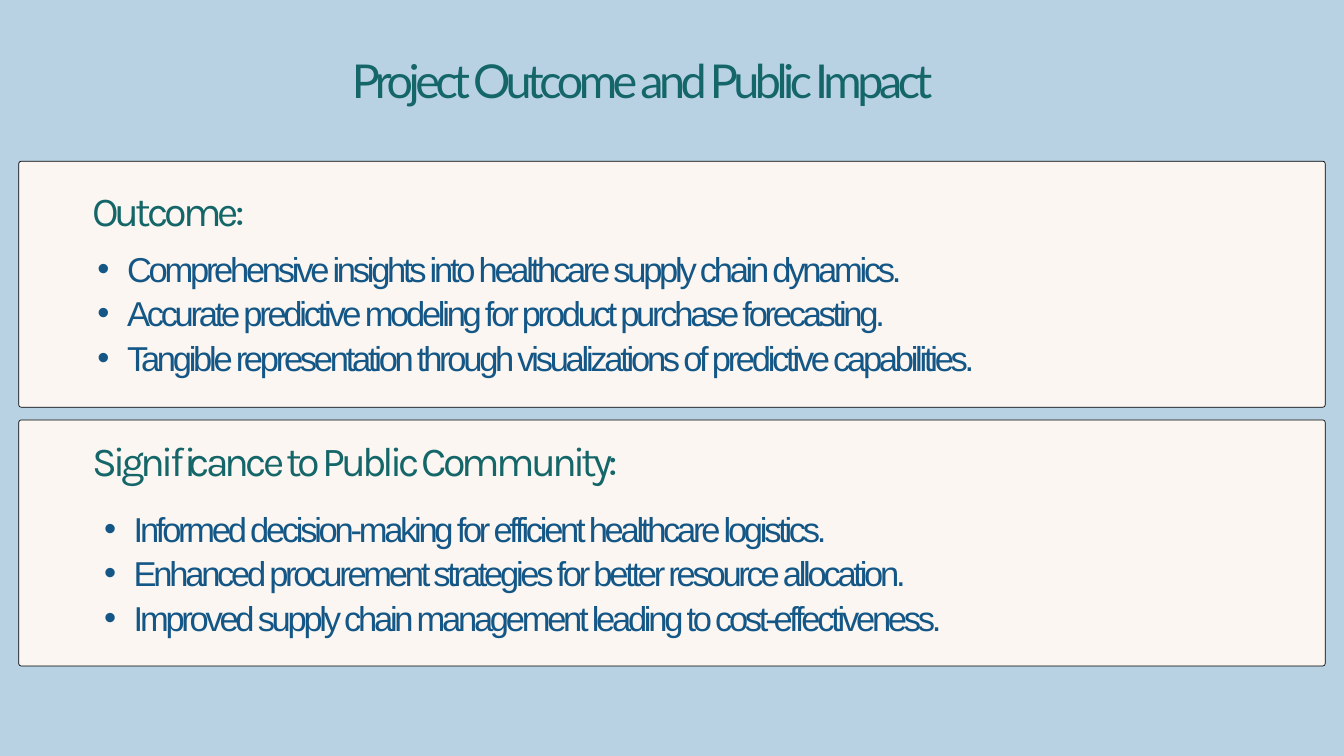
"""Build the slide on project outcome and public impact."""
from dataclasses import dataclass

import pptx
import pptx.dml.color
import pptx.enum.shapes
import pptx.enum.text
import pptx.oxml.ns
import pptx.util
from lxml import etree

ALIGN = pptx.enum.text.PP_ALIGN
WIDTH, HEIGHT = 20, 11.25
PANEL_LEFT, PANEL_TOP = 0.28, 2.4
PANEL_WIDTH, PANEL_HEIGHT = WIDTH - 2 * PANEL_LEFT, 3.66
PANEL_PITCH = 3.85


@dataclass(frozen=True)
class TextStyle:
    """Type settings, with lengths in points."""
    font: str
    size: float
    color: str
    tracking: float
    leading: float


@dataclass(frozen=True)
class Theme:
    """Colours and type of the slide."""
    background: str = "B8D2E4"
    panel: str = "FBF6F1"
    outline: str = "000000"
    title: TextStyle = TextStyle("Lato", 50, "156669", -4.8, 48)
    heading: TextStyle = TextStyle("Karla", 44.2, "156669", -4.2, 42.4)
    bullet: TextStyle = TextStyle("Arial", 37, "145786", -3.5, 47.7)


THEME = Theme()

SECTIONS = [
    {
        "heading": "Outcome:",
        "heading_top": 2.9,
        "list_origin": (1.02, 3.64),
        "align": ALIGN.JUSTIFY,
        "findings": [
            "Comprehensive insights into healthcare supply chain dynamics.",
            "Accurate predictive modeling for product purchase forecasting.",
            "Tangible representation through visualizations of predictive capabilities.",
        ],
    },
    {
        "heading": "Significance to Public Community:",
        "heading_top": 6.63,
        "list_origin": (1.12, 7.51),
        "align": ALIGN.LEFT,
        "findings": [
            "Informed decision-making for efficient healthcare logistics.",
            "Enhanced procurement strategies for better resource allocation.",
            "Improved supply chain management leading to cost-effectiveness.",
        ],
    },
]


def rgb(value):
    """Return the colour for a hex string."""
    return pptx.dml.color.RGBColor.from_string(value)


def inches(*lengths):
    """Convert lengths in inches to slide units."""
    return [pptx.util.Inches(length) for length in lengths]


def add_bullet(paragraph, indent=0.87, hanging=0.44):
    """Give a paragraph a round bullet with a hanging indent."""
    paragraph.level = 1
    properties = paragraph._p.get_or_add_pPr()
    properties.set("marL", str(pptx.util.Inches(indent)))
    properties.set("indent", str(-pptx.util.Inches(hanging)))
    qn = pptx.oxml.ns.qn
    etree.SubElement(properties, qn("a:buFont"), typeface="Arial")
    etree.SubElement(properties, qn("a:buChar"), char="•")


def add_text(slide, lines, box, style, align=ALIGN.LEFT, bulleted=False):
    """Add a text box with one paragraph for each line."""
    frame = slide.shapes.add_textbox(*inches(*box)).text_frame
    frame.word_wrap = True
    frame.auto_size = pptx.enum.text.MSO_AUTO_SIZE.SHAPE_TO_FIT_TEXT
    frame.margin_left = frame.margin_right = 0
    frame.margin_top = frame.margin_bottom = 0
    for index, line in enumerate(lines):
        paragraph = frame.add_paragraph() if index else frame.paragraphs[0]
        if bulleted:
            add_bullet(paragraph)
        paragraph.alignment = align
        paragraph.line_spacing = pptx.util.Pt(style.leading)
        run = paragraph.add_run()
        run.text = line
        run.font.name = style.font
        run.font.size = pptx.util.Pt(style.size)
        run.font.color.rgb = rgb(style.color)
        run._r.get_or_add_rPr().set("spc", str(round(style.tracking * 100)))


def add_panel(slide, row):
    """Add the outlined panel behind one section."""
    panel = slide.shapes.add_shape(
        pptx.enum.shapes.MSO_SHAPE.ROUNDED_RECTANGLE,
        *inches(PANEL_LEFT, PANEL_TOP + row * PANEL_PITCH, PANEL_WIDTH, PANEL_HEIGHT),
    )
    panel.adjustments[0] = 0.01
    panel.shadow.inherit = False
    panel.fill.solid()
    panel.fill.fore_color.rgb = rgb(THEME.panel)
    panel.line.color.rgb = rgb(THEME.outline)
    panel.line.width = pptx.util.Pt(0.75)


def add_section(slide, row, section):
    """Add a panel with its heading and list of findings."""
    add_panel(slide, row)
    add_text(slide, [section["heading"]], (1.37, section["heading_top"], 10.31, 0.64),
             THEME.heading)
    add_text(slide, section["findings"], (*section["list_origin"], 18.55, 2.61),
             THEME.bullet, align=section["align"], bulleted=True)


def main():
    """Build and save the presentation."""
    presentation = pptx.Presentation()
    presentation.slide_width, presentation.slide_height = inches(WIDTH, HEIGHT)
    slide = presentation.slides.add_slide(presentation.slide_layouts[6])
    slide.background.fill.solid()
    slide.background.fill.fore_color.rgb = rgb(THEME.background)
    add_text(slide, ["Project Outcome and Public Impact"], (1.82, 0.94, 15.47, 0.73),
             THEME.title, align=ALIGN.CENTER)
    for row, section in enumerate(SECTIONS):
        add_section(slide, row, section)
    presentation.save("out.pptx")


if __name__ == "__main__":
    main()
